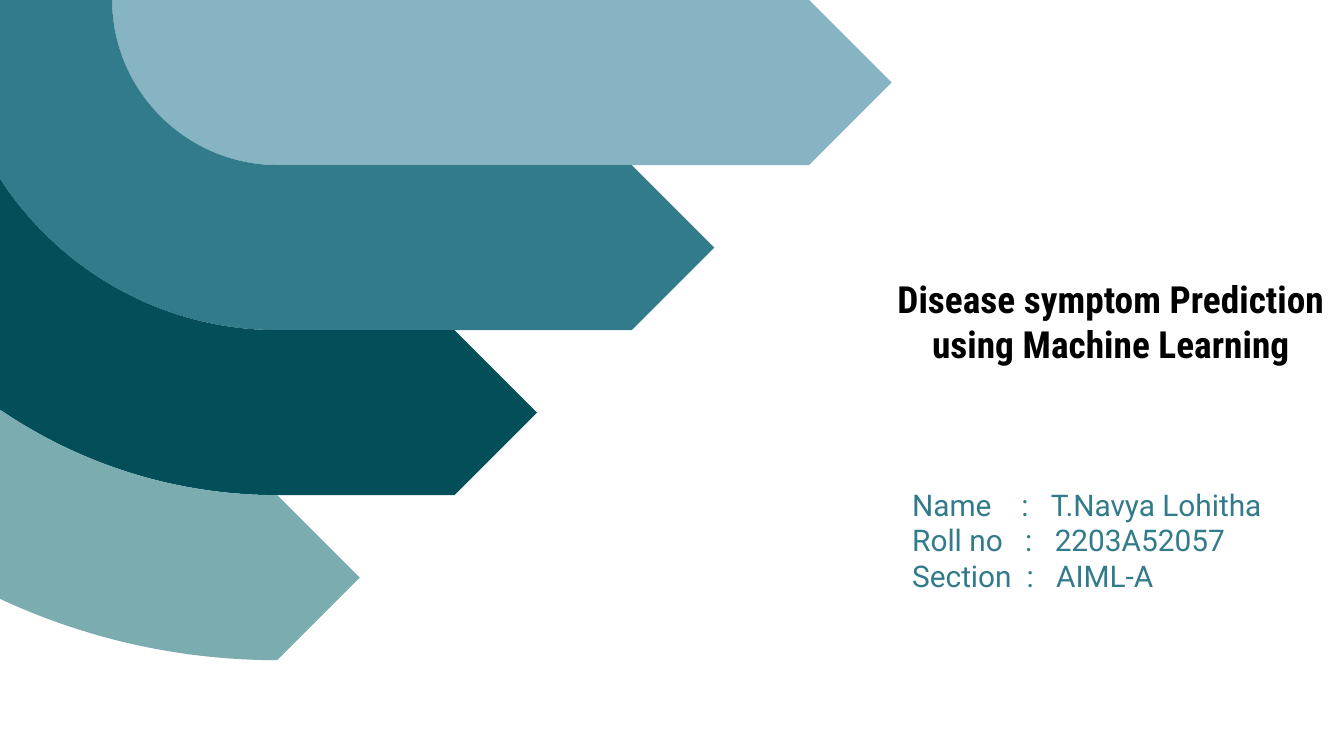
from dataclasses import dataclass

from lxml.etree import SubElement
from pptx import Presentation
from pptx.dml.color import RGBColor
from pptx.enum.text import MSO_ANCHOR, MSO_AUTO_SIZE, PP_ALIGN
from pptx.oxml.ns import qn
from pptx.util import Cm, Pt


@dataclass(frozen=True)
class Theme:
    """Colours, fonts and type sizes of the slide."""

    title_color: str = "000000"
    details_color: str = "327B8A"
    title_font: str = "Roboto Condensed"
    details_font: str = "Roboto"
    title_size: int = 20
    details_size: int = 16
    bands: tuple = ("86B4C2", "327B8A", "024F59", "7BACB0")


THEME = Theme()
TITLE = "Disease symptom Prediction using Machine Learning"
DETAILS = (
    ("Name", 12, "T.Navya Lohitha"),
    ("Roll no", 8, "2203A52057"),
    ("Section", 4, "AIML-A"),
)
VALUE_GAP = 8
BAND_HEIGHT = 3.12
BAND_STEP = 3.35
ARC_CENTER = 5.24
ARC_RATIO = 0.55


def band_corners(index):
    """Return the corners of one arrow band, counted from the inside."""
    inner = index * BAND_HEIGHT
    outer = inner + BAND_HEIGHT
    shoulder = ARC_CENTER + BAND_STEP * (len(THEME.bands) - 1 - index)
    corners = [
        (ARC_CENTER - outer, 0),
        (ARC_CENTER, outer),
        (shoulder, outer),
        (shoulder + BAND_HEIGHT / 2, inner + BAND_HEIGHT / 2),
        (shoulder, inner),
        (ARC_CENTER, inner),
        (ARC_CENTER - inner, 0),
    ]
    return list(dict.fromkeys(corners))


def corner_position(segment):
    """Return the end point of a path segment."""
    point = segment.find(qn("a:pt"))
    return int(point.get("x")), int(point.get("y"))


def round_segment(before, segment, starts_upright):
    """Turn a straight path segment into a quarter arc."""
    (x0, y0), (x1, y1) = corner_position(before), corner_position(segment)
    across, down = ARC_RATIO * (x1 - x0), ARC_RATIO * (y1 - y0)
    if starts_upright:
        controls = [(x0, y0 + down), (x1 - across, y1)]
    else:
        controls = [(x0 + across, y0), (x1, y1 - down)]
    segment.clear()
    segment.tag = qn("a:cubicBezTo")
    for x, y in controls + [(x1, y1)]:
        SubElement(segment, qn("a:pt"), x=str(round(x)), y=str(round(y)))


def add_band(group, index, color):
    """Draw one arrow band as a filled freeform with curved sides."""
    start, *rest = [(Cm(x), Cm(y)) for x, y in band_corners(index)]
    builder = group.shapes.build_freeform(*start)
    builder.add_line_segments(rest, close=True)
    band = builder.convert_to_shape()
    outline = next(band._element.iter(qn("a:path" )))
    segments = [part for part in outline if part.tag != qn("a:close")]
    if index:
        last = len(rest)
        round_segment(segments[last - 1], segments[last], False)
    round_segment(segments[0], segments[1], True)
    band.shadow.inherit = False
    band.fill.solid()
    band.fill.fore_color.rgb = RGBColor.from_string(color)
    band.line.fill.background()


def place_box(box, left, top, width, height, anchor):
    """Position a placeholder and set its text frame."""
    box.left, box.top, box.width, box.height = map(Cm, (left, top, width, height))
    frame = box.text_frame
    frame.word_wrap = True
    frame.auto_size = MSO_AUTO_SIZE.NONE
    frame.vertical_anchor = anchor
    frame.margin_left = frame.margin_right = Cm(0.25)
    frame.margin_top = frame.margin_bottom = Cm(0.25)
    return frame


def format_para(para, align, font, size, color, bold=False):
    """Format a paragraph and its runs."""
    para.alignment = align
    para.space_before = Pt(0)
    for span in para.runs:
        span.font.name = font
        span.font.size = Pt(size)
        span.font.bold = bold
        span.font.color.rgb = RGBColor.from_string(color)


def add_span(para, text, gap=0):
    """Append a run, widened by a gap in points after each character."""
    span = para.add_run()
    span.text = text
    if gap:
        span.font._element.set("spc", str(gap * 100))


def fill_title(box):
    """Write the title above its deep bottom margin."""
    frame = place_box(box, 16.59, 3.96, 8.81, 4.01, MSO_ANCHOR.BOTTOM)
    frame.margin_bottom = Cm(1.06)
    frame.text = TITLE
    format_para(frame.paragraphs[0], PP_ALIGN.CENTER, THEME.title_font,
                THEME.title_size, THEME.title_color, bold=True)


def fill_details(box):
    """Write the student details, one line for each entry."""
    frame = place_box(box, 16.99, 8.94, 8.41, 2.18, MSO_ANCHOR.TOP)
    para = frame.paragraphs[0]
    for number, (label, label_gap, value) in enumerate(DETAILS):
        if number:
            para.add_line_break()
        add_span(para, label)
        add_span(para, " ", label_gap)
        add_span(para, ":")
        add_span(para, " ", VALUE_GAP)
        add_span(para, value)
    format_para(para, PP_ALIGN.LEFT, THEME.details_font,
                THEME.details_size, THEME.details_color)


def main():
    """Build and save the title slide."""
    deck = Presentation()
    deck.slide_width, deck.slide_height = Cm(25.4), Cm(14.29)
    page = deck.slides.add_slide(deck.slide_layouts[0])
    fill_title(page.shapes.title)
    fill_details(page.placeholders[1])
    group = page.shapes.add_group_shape()
    for index, color in enumerate(THEME.bands):
        add_band(group, index, color)
    deck.save("out.pptx")


if __name__ == "__main__":
    main()
